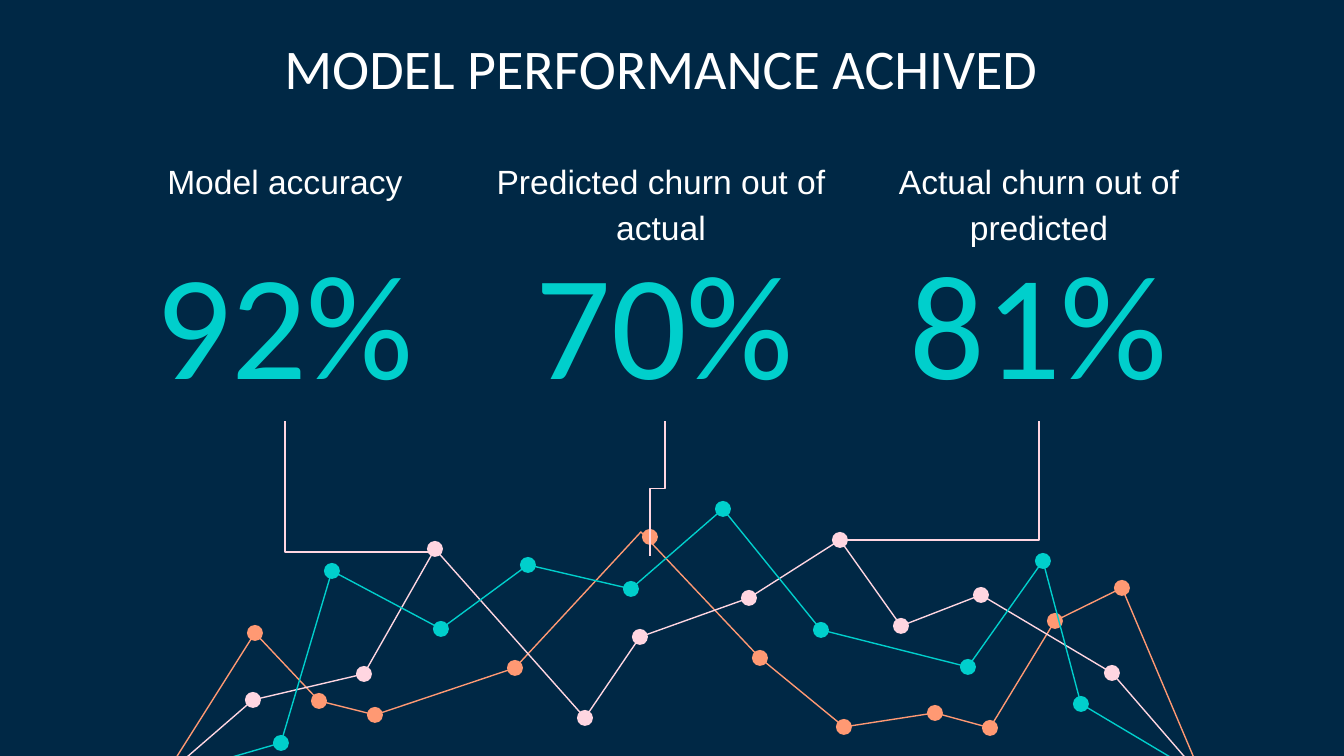
from lxml import etree
from pptx import Presentation
from pptx import util as u
from pptx.dml.color import RGBColor
from pptx.enum import shapes, text
from pptx.oxml.ns import qn

NAVY = RGBColor(0x00, 0x28, 0x45)
TEAL = RGBColor(0x00, 0xCF, 0xCC)
ORANGE = RGBColor(0xFF, 0x99, 0x73)
PINK = RGBColor(0xFF, 0xD6, 0xE1)
WHITE = RGBColor(0xFF, 0xFF, 0xFF)

WIDTH, HEIGHT = 1344, 756
SCALE = u.Inches(10) / WIDTH
DOT = 16
INSET = 13

TITLE = "MODEL PERFORMANCE ACHIVED"

# label, value, centre of label, centre of value
METRICS = [
    ("Model accuracy", "92%", 285, 285),
    ("Predicted churn out of actual", "70%", 661, 665),
    ("Actual churn out of predicted", "81%", 1039, 1039),
]

# colour, line start, dots, line end
TRENDS = [
    (ORANGE, (164, 777),
     [(255, 633), (319, 701), (375, 715), (515, 668), (650, 537), (760, 658),
      (844, 727), (935, 713), (990, 728), (1055, 621), (1122, 588)],
     (1202, 777)),
    (PINK, (164, 777),
     [(253, 700), (364, 674), (435, 549), (585, 718), (640, 637), (749, 598),
      (840, 540), (901, 626), (981, 595), (1112, 673)],
     (1202, 777)),
    (TEAL, (167, 776),
     [(281, 743), (332, 571), (441, 629), (528, 565), (631, 589), (723, 509),
      (821, 630), (968, 667), (1043, 561), (1081, 704)],
     (1202, 776)),
]
# Where a line turns beside its dot
TURNS = {(650, 537): (641, 532)}

# begin, end, preset, rotation in degrees
ELBOWS = [
    ((435, 552), (285, 421), "bentConnector2", 0),
    ((725, 496), (590, 481), "bentConnector3", 90),
    ((844, 540), (1039, 421), "bentConnector2", 0),
]


def px(*lengths):
    return [round(length * SCALE) for length in lengths]


def add_text(page, words, frame, font, size, color, anchor, label=False):
    box = page.shapes.add_textbox(*px(*frame)).text_frame
    box.word_wrap = True
    box.vertical_anchor = anchor
    inset, = px(INSET)
    box.margin_left = box.margin_right = inset
    box.margin_top = box.margin_bottom = inset
    para = box.paragraphs[0]
    para.alignment = text.PP_ALIGN.CENTER
    if label:
        para.line_spacing = 1.15
        para.space_after = u.Pt(16)
    span = para.add_run()
    span.text = words
    span.font.name = font
    span.font.size = u.Pt(size)
    span.font.color.rgb = color


def add_trend(page, color, start, dots, end):
    points = [TURNS.get(dot, dot) for dot in dots] + [end]
    builder = page.shapes.build_freeform(*start, scale=SCALE)
    builder.add_line_segments(points, close=False)
    line = builder.convert_to_shape()
    line.shadow.inherit = False
    line.fill.background()
    line.line.color.rgb = color
    line.line.width = u.Pt(0.75)
    for x, y in dots:
        dot = page.shapes.add_shape(
            shapes.MSO_SHAPE.OVAL, *px(x - DOT / 2, y - DOT / 2, DOT, DOT))
        dot.shadow.inherit = False
        dot.fill.solid()
        dot.fill.fore_color.rgb = color
        dot.line.fill.background()


def add_elbow(page, begin, end, preset, rotation):
    elbow = page.shapes.add_connector(
        shapes.MSO_CONNECTOR.ELBOW, *px(*begin, *end))
    elbow.line.color.rgb = PINK
    elbow.line.width = u.Pt(0.75)
    properties = elbow._element.spPr
    properties.find(qn("a:prstGeom")).set("prst", preset)
    if rotation:
        properties.find(qn("a:xfrm")).set("rot", str(rotation * 60000))
    etree.SubElement(properties, qn("a:effectLst"))


def main():
    deck = Presentation()
    deck.slide_width, deck.slide_height = px(WIDTH, HEIGHT)
    page = deck.slides.add_slide(deck.slide_layouts[6])
    page.background.fill.solid()
    page.background.fill.fore_color.rgb = NAVY

    # Trend lines with their dots
    for trend in TRENDS:
        add_trend(page, *trend)

    # Metrics
    for label, value, label_x, value_x in METRICS:
        add_text(page, value, (value_x - 173, 241, 346, 181), "Calibri", 80,
                 TEAL, text.MSO_ANCHOR.BOTTOM)
        add_text(page, label, (label_x - 200, 142, 400, 105), "Arial", 18,
                 WHITE, text.MSO_ANCHOR.TOP, label=True)

    # Connectors from metrics to trends
    for elbow in ELBOWS:
        add_elbow(page, *elbow)

    # Title
    add_text(page, TITLE, (266, 32, 790, 82), "Calibri", 30, WHITE,
             text.MSO_ANCHOR.BOTTOM)
    deck.save("out.pptx")


if __name__ == "__main__":
    main()
